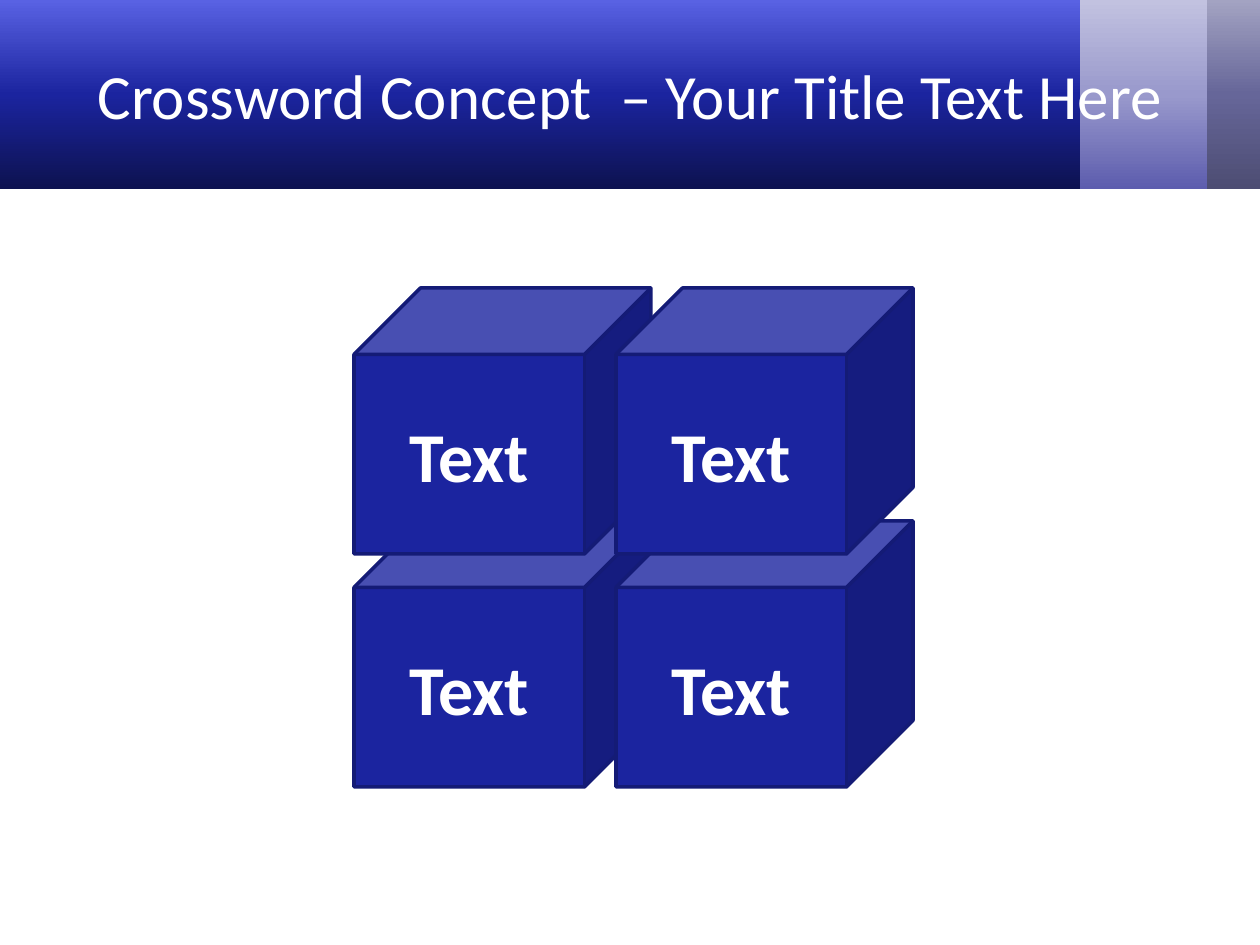
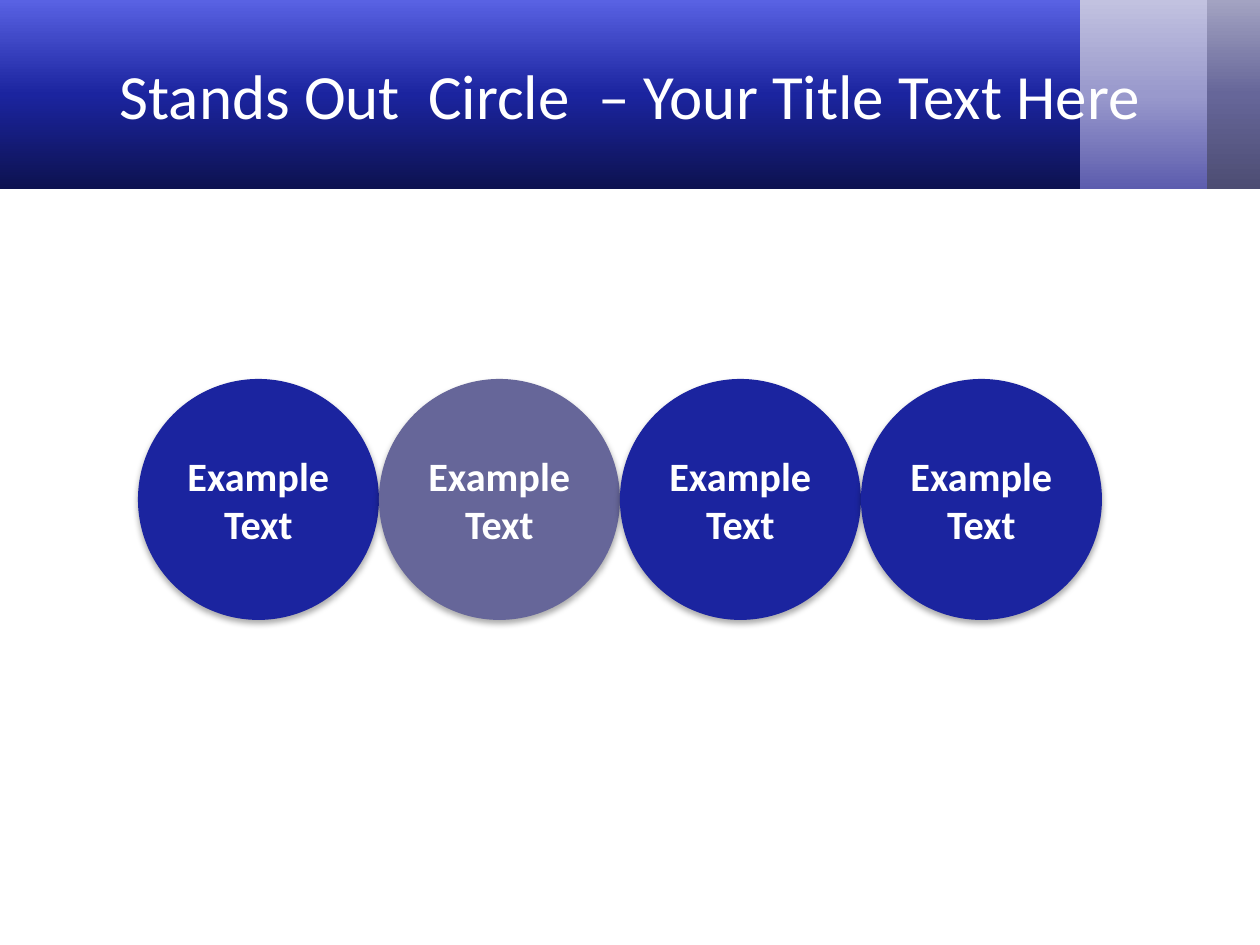
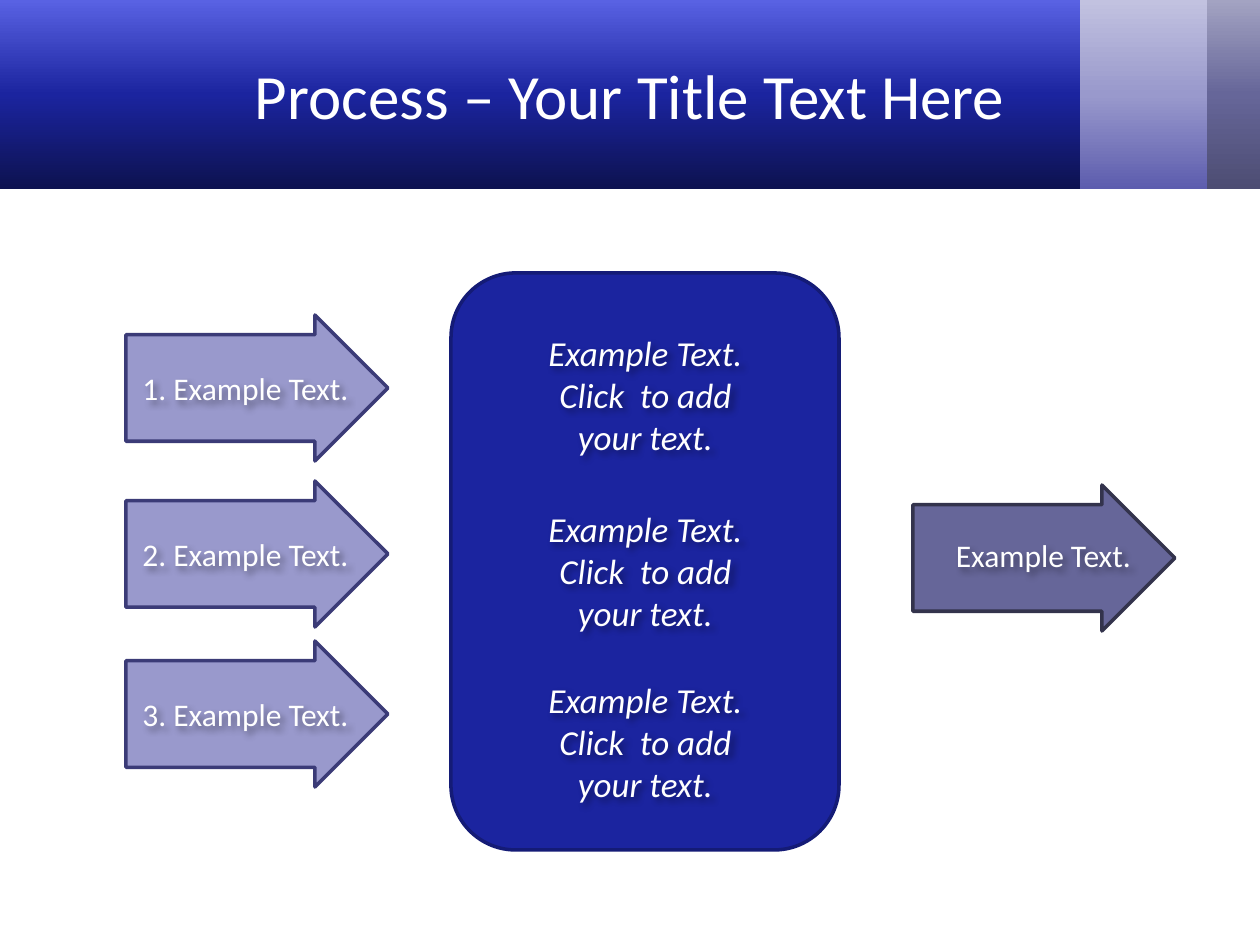
from lxml import etree
from pptx import Presentation
from pptx.dml.color import RGBColor
from pptx.enum.shapes import MSO_SHAPE
from pptx.enum.text import MSO_ANCHOR, PP_ALIGN
from pptx.oxml import parse_xml
from pptx.oxml.ns import nsdecls, qn
from pptx.util import Emu, Pt

RECT, CUBE, OVAL = MSO_SHAPE.RECTANGLE, MSO_SHAPE.CUBE, MSO_SHAPE.OVAL
PANEL, ARROW = MSO_SHAPE.ROUNDED_RECTANGLE, MSO_SHAPE.RIGHT_ARROW
CENTER = PP_ALIGN.CENTER
TOP, MIDDLE = MSO_ANCHOR.TOP, MSO_ANCHOR.MIDDLE

PX = 914400 / 126
FONT = "Calibri"
COLORS = {
    "white": "FFFFFF", "blue": "1B249F", "blue_edge": "141B76",
    "lilac": "9999CC", "lilac_edge": "3B3B77",
    "slate": "666699", "slate_edge": "33334C",
}

# Content
TITLES = {
    "cubes": "Crossword Concept  – Your Title Text Here",
    "circles": "Stands Out  Circle  – Your Title Text Here",
    "process": "Process – Your Title Text Here",
}
CUBE_COLUMNS = [["Text", "Text"], ["Text", "Text"]]
CIRCLES = [("Example Text", "blue"), ("Example Text", "slate"),
           ("Example Text", "blue"), ("Example Text", "blue")]
INPUTS = [("1. Example Text.", 315), ("2. Example Text.", 481),
          ("3. Example Text.", 641)]
OUTPUT = "Example Text."
STEP = "Example Text.\nClick  to add your text."
STEP_TOPS = [325, 501, 672]

# Header bands, back to front: left, width, gradient from bottom to top
BAND_HEIGHT = 189
BANDS = [
    (1188, 72, ["4D4D73", "666699", "A3A3C2"]),
    (1075, 132, ["5D5DAE", "9999CC", "C2C2E0"]),
    (0, 1080, ["0D1250", "1B249F", "5962E3"]),
]


def px(*lengths):
    return [Emu(round(n * PX)) for n in lengths]


def rgb(name):
    return RGBColor.from_string(COLORS[name])


def add_shape(shapes, kind, box, fill=None, edge=None):
    sp = shapes.add_shape(kind, *px(*box))
    sp.shadow.inherit = False
    if fill:
        sp.fill.solid()
        sp.fill.fore_color.rgb = rgb(fill)
    if edge:
        sp.line.color.rgb = rgb(edge)
        sp.line.width = Pt(2)
    else:
        sp.line.fill.background()
    return sp


def write(sp, text, size, anchor=MIDDLE, bold=False, italic=False):
    tf = sp.text_frame
    tf.text = text
    tf.word_wrap = True
    tf.vertical_anchor = anchor
    for p in tf.paragraphs:
        p.alignment = CENTER
        for r in p.runs:
            r.font.name, r.font.size = FONT, Pt(size)
            r.font.bold, r.font.italic = bold, italic
            r.font.color.rgb = rgb("white")


def add_shadow(sp, alpha, blur, dist, angle):
    sp.shadow.inherit = False
    effects = sp._element.spPr.find(qn("a:effectLst"))
    shadow = etree.SubElement(
        effects, qn("a:outerShdw"), blurRad=str(Pt(blur)), dist=str(Pt(dist)),
        dir=str(angle * 60000), algn="ctr", rotWithShape="0")
    color = etree.SubElement(shadow, qn("a:srgbClr"), val="000000")
    etree.SubElement(color, qn("a:alpha"), val=str(alpha * 1000))


def add_label(s, text, box, size, italic=False):
    tb = s.shapes.add_textbox(*px(*box))
    write(tb, text, size, TOP, italic=italic)
    add_shadow(tb, 40, 4, 3, 45)


def add_bands(s, layout):
    """Build the header bands and place them behind everything on the layout."""
    first = layout.shapes[0]._element
    for i, (left, width, stops) in enumerate(BANDS):
        band = add_shape(s.shapes, RECT, (left, 0, width, BAND_HEIGHT))
        gs = "".join(f'<a:gs pos="{n * 50000}"><a:srgbClr val="{c}"/></a:gs>'
                     for n, c in enumerate(stops))
        band._element.spPr.find(qn("a:prstGeom")).addnext(parse_xml(
            f'<a:gradFill {nsdecls("a")} rotWithShape="1"><a:gsLst>{gs}</a:gsLst>'
            '<a:lin ang="16200000" scaled="0"/></a:gradFill>'))
        band._element.nvSpPr.cNvPr.set("id", str(101 + i))
        first.addprevious(band._element)


def add_slide(prs, layout, title):
    s = prs.slides.add_slide(layout)
    sp = s.shapes.title
    sp.left, sp.top, sp.width, sp.height = px(63, 10, 1134, 168)
    write(sp, title, 36)
    return s


def add_cubes(s):
    group = s.shapes.add_group_shape().shapes
    for col, texts in enumerate(CUBE_COLUMNS):
        for row in (1, 0):  # the upper cube overlaps the lower one
            box = (354 + col * 262, 288 + row * 233, 297, 266)
            sp = add_shape(group, CUBE, box, "blue", "blue_edge")
            write(sp, texts[row], 40, bold=True)


def add_circles(s):
    group = s.shapes.add_group_shape().shapes
    size = 241
    for i, (text, fill) in enumerate(CIRCLES):
        sp = add_shape(group, OVAL, (138 + i * size, 379, size, size), fill)
        add_shadow(sp, 32, 3.5, 2.2, 90)
        write(sp, text, 23, bold=True)
        tf = sp.text_frame
        tf.margin_left = tf.margin_right = px(4)[0]


def add_arrow(s, left, top, color):
    sp = add_shape(s.shapes, ARROW, (left, top, 262, 146), color, color + "_edge")
    sp.adjustments[0], sp.adjustments[1] = 0.73, 0.5


def add_process(s):
    add_shape(s.shapes, PANEL, (451, 273, 388, 577), "blue", "blue_edge")
    for text, top in INPUTS:
        add_arrow(s, 126, top, "lilac")
        add_label(s, text, (119, top + 48, 253, 50), 18)
    add_arrow(s, 913, 485, "slate")
    add_label(s, OUTPUT, (917, 530, 253, 50), 18)
    for top in STEP_TOPS:
        add_label(s, STEP, (519, top, 253, 140), 20, italic=True)


def main():
    prs = Presentation()
    prs.slide_width, prs.slide_height = px(1260, 945)
    layout = prs.slide_layouts[5]
    builders = {"cubes": add_cubes, "circles": add_circles, "process": add_process}
    for i, (name, build) in enumerate(builders.items()):
        s = add_slide(prs, layout, TITLES[name])
        if i == 0:
            add_bands(s, layout)
        build(s)
    prs.save("out.pptx")


if __name__ == "__main__":
    main()
